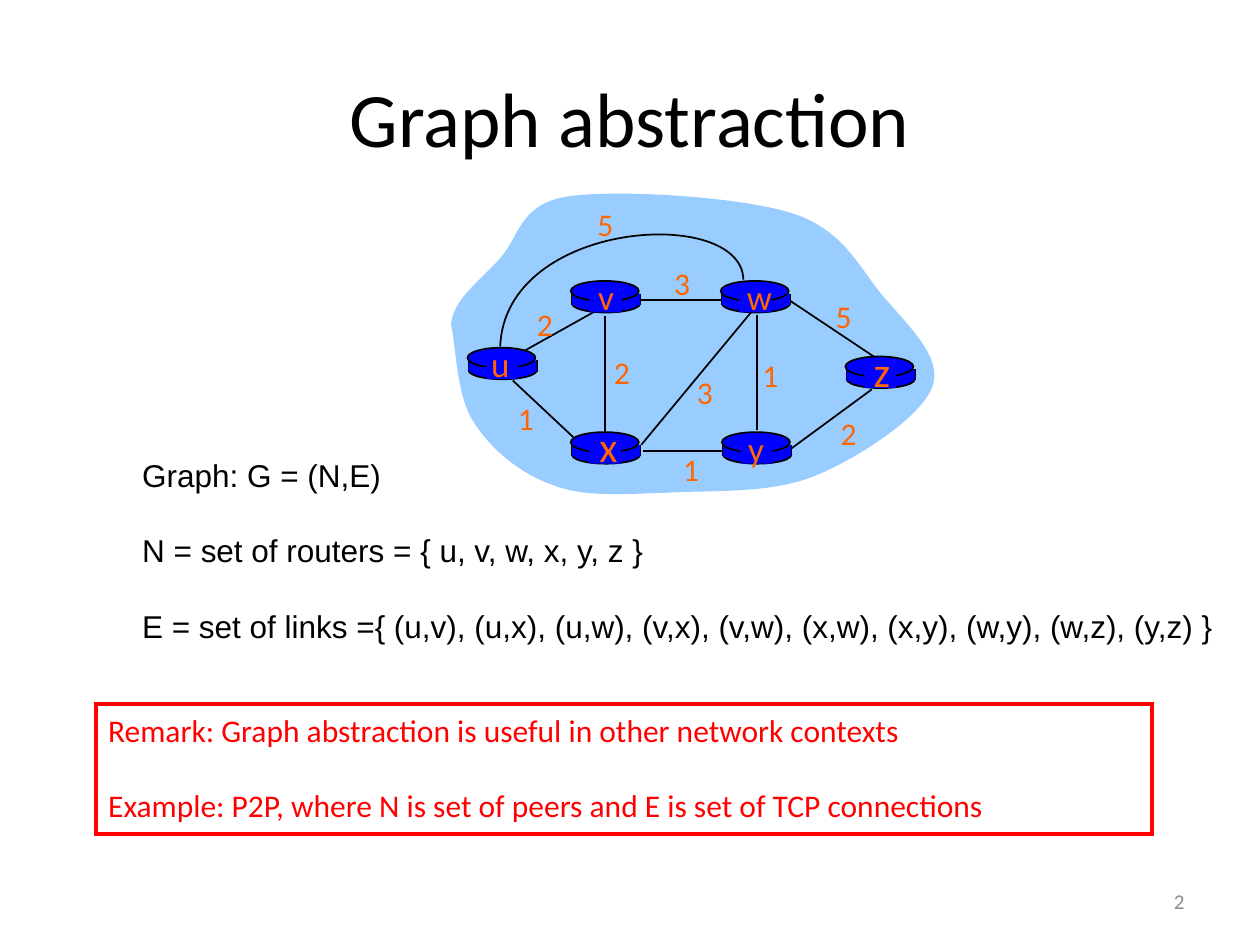
from pptx import Presentation
from pptx.util import Inches, Pt
from pptx.dml.color import RGBColor
from pptx.enum import shapes, text
from pptx.oxml import xmlchemy

BLUE, ORANGE, BLACK, RED = "0000FF", "FF6600", "000000", "FF0000"


def paint(shape, fill=None, line=None, width=1):
    """Set fill and outline; None means none."""
    shape.shadow.inherit = False
    if fill:
        shape.fill.solid()
        shape.fill.fore_color.rgb = RGBColor.from_string(fill)
    else:
        shape.fill.background()
    if line:
        shape.line.color.rgb = RGBColor.from_string(line)
        shape.line.width = Pt(width)
    else:
        shape.line.fill.background()


def write(shape, lines, size, color, align, font="Calibri", gap=0):
    """Write one paragraph per line, with a gap in points between them."""
    frame = shape.text_frame
    frame.word_wrap = False
    for i, line in enumerate(lines):
        paragraph = frame.add_paragraph() if i else frame.paragraphs[0]
        paragraph.alignment = align
        if i:
            paragraph.space_before = Pt(gap)
        run = paragraph.add_run()
        run.text = line
        run.font.size = Pt(size)
        run.font.name = font
        run.font.color.rgb = RGBColor.from_string(color)


prs = Presentation()
prs.slide_width, prs.slide_height = Inches(10), Inches(7.5)
slide = prs.slides.add_slide(prs.slide_layouts[5])
LEFT, CENTER, RIGHT = text.PP_ALIGN.LEFT, text.PP_ALIGN.CENTER, text.PP_ALIGN.RIGHT
OVAL, RECT = shapes.MSO_SHAPE.OVAL, shapes.MSO_SHAPE.RECTANGLE

# Title
title = slide.shapes.title
title.left, title.top, title.width, title.height = map(Inches, (0.5, 0.3, 9, 1.25))
write(title, ["Graph abstraction"], 44, BLACK, CENTER)

# Network cloud and the curved link u-w: a start, then three points per cubic curve
network = slide.shapes.add_group_shape().shapes
cloud = [(3.58, 2.58),
         (3.59, 2.38), (3.81, 2.23), (3.96, 2.06),
         (4.12, 1.89), (4.12, 1.62), (4.5, 1.56),
         (4.89, 1.5), (5.86, 1.56), (6.28, 1.69),
         (6.69, 1.82), (6.81, 2.11), (7, 2.34),
         (7.19, 2.57), (7.49, 2.83), (7.4, 3.07),
         (7.31, 3.31), (6.81, 3.64), (6.46, 3.78),
         (6.11, 3.92), (5.65, 3.89), (5.31, 3.91),
         (4.96, 3.92), (4.65, 3.95), (4.39, 3.85),
         (4.13, 3.76), (3.9, 3.57), (3.76, 3.35),
         (3.62, 3.14), (3.62, 2.74), (3.58, 2.58)]
link_uw = [(5.9, 2.22), (5.89, 1.63), (4.01, 1.74), (3.97, 2.75)]
for knots, fill, line in [(cloud, "99CCFF", None), (link_uw, None, BLACK)]:
    points = [(Inches(x), Inches(y)) for x, y in knots]
    builder = network.build_freeform(*points[0])
    builder.add_line_segments(points[1:], close=fill is not None)
    outline = builder.convert_to_shape()
    paint(outline, fill, line)
    # Join each three straight segments into one cubic curve
    segments = outline._element.xpath(".//a:lnTo")[:len(knots) - 1]
    for k in range(0, len(segments), 3):
        curve = xmlchemy.OxmlElement("a:cubicBezTo")
        segments[k].addprevious(curve)
        for segment in segments[k:k + 3]:
            curve.append(segment[0])
            segment.getparent().remove(segment)

# Routers: left and top of the upper disc, centre of the name, name size
routers = {"u": (3.71, 2.76, 3.97, 20), "x": (4.53, 3.43, 4.83, 24),
           "v": (4.53, 2.23, 4.81, 20), "w": (5.72, 2.23, 6, 20),
           "y": (5.73, 3.43, 6, 20), "z": (6.71, 2.83, 7, 24)}
W = 0.54

# Straight links and the upright sides of the routers
lines = [(4.17, 2.78, 4.76, 2.45), (6.01, 2.5, 6.01, 3.41), (4.8, 2.51, 4.8, 3.44),
         (5.09, 3.53, 5.96, 2.48), (6.28, 3.56, 6.92, 3.09), (5.73, 3.58, 5.1, 3.58),
         (4.55, 3.47, 4.07, 3.02), (5.72, 2.38, 5.09, 2.38), (6.95, 2.84, 6.26, 2.38)]
for x, y, middle, size in routers.values():
    lines += [(side, y + 0.1, side, y + 0.19) for side in (x + 0.01, x + 0.01 + W)]
for ends in lines:
    link = network.add_connector(shapes.MSO_CONNECTOR.STRAIGHT, *map(Inches, ends))
    link.line.color.rgb = RGBColor.from_string(BLACK)
    link.line.width = Pt(1)
    link._element.spPr.append(xmlchemy.OxmlElement("a:effectLst"))

# Router bodies and names
for name, (x, y, middle, size) in routers.items():
    for kind, dx, dy, width, height, line in [(OVAL, 0.01, 0.11, W, 0.14, BLACK),
                                              (RECT, 0.01, 0.1, W, 0.09, None),
                                              (OVAL, 0, 0, W, 0.16, BLACK),
                                              (RECT, 0.15, 0.02, 0.25, 0.23, None)]:
        paint(network.add_shape(kind, Inches(x + dx), Inches(y + dy),
                                Inches(width), Inches(height)), BLUE, line)
    rise, height = (0.09, 0.44) if size == 20 else (0.14, 0.51)
    label = network.add_textbox(Inches(middle - 0.17), Inches(y - rise),
                                Inches(0.34), Inches(height))
    write(label, [name], size, ORANGE, CENTER)

# Link costs
costs = [("2", 4.16, 2.37), ("2", 4.77, 2.75), ("1", 4.01, 3.12), ("3", 5.43, 2.91),
         ("1", 5.32, 3.52), ("1", 5.95, 2.78), ("2", 6.57, 3.24), ("5", 6.53, 2.31),
         ("3", 5.25, 2.05), ("5", 4.64, 1.58)]
for cost, x, y in costs:
    write(network.add_textbox(Inches(x), Inches(y), Inches(0.33), Inches(0.4)),
          [cost], 18, ORANGE, CENTER)

# Definition of the graph
definition = slide.shapes.add_textbox(Inches(1.03), Inches(3.57), Inches(8.79), Inches(1.62))
write(definition, ["Graph: G = (N,E)",
                   "N = set of routers = { u, v, w, x, y, z }",
                   "E = set of links ={ (u,v), (u,x), (u,w), (v,x), (v,w), "
                   "(x,w), (x,y), (w,y), (w,z), (y,z) }"],
      18, BLACK, LEFT, "Arial", 21.5)

# Remark, with square corners
remark = slide.shapes.add_shape(RECT, Inches(0.76), Inches(5.59), Inches(8.38), Inches(1.03))
paint(remark, None, RED, 2.25)
remark.line._get_or_add_ln().append(xmlchemy.OxmlElement("a:miter"))
remark.text_frame.vertical_anchor = text.MSO_ANCHOR.TOP
write(remark, ["Remark: Graph abstraction is useful in other network contexts",
               "Example: P2P, where N is set of peers and E is set of TCP connections"],
      18, RED, LEFT, gap=21.5)

# Slide number
number = slide.shapes.add_textbox(Inches(7.17), Inches(6.95), Inches(2.33), Inches(0.4))
number.text_frame.vertical_anchor = text.MSO_ANCHOR.MIDDLE
write(number, ["2"], 12, "8C8C8C", RIGHT)
number.text_frame.word_wrap = True

prs.save("out.pptx")
